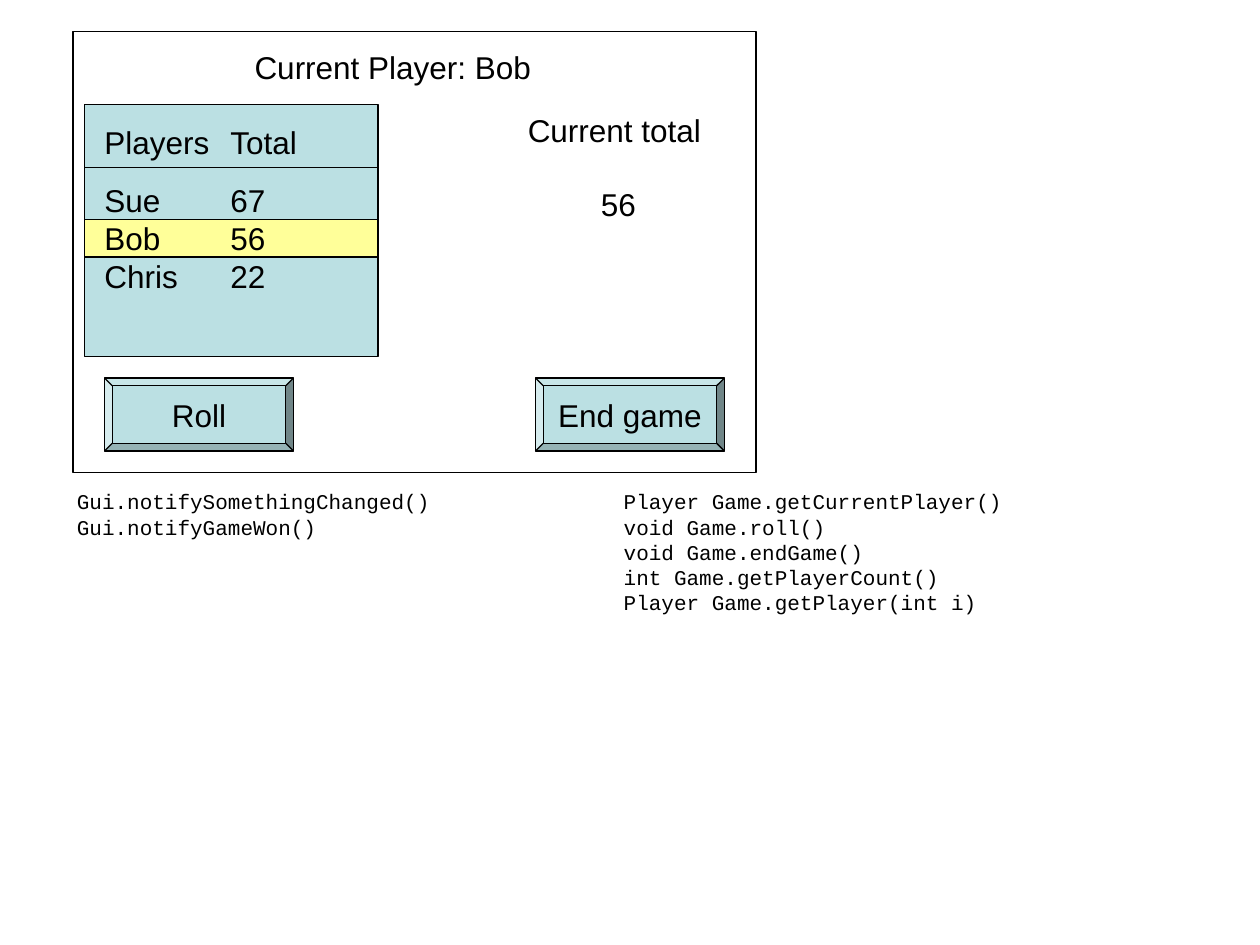
from dataclasses import dataclass

from lxml.etree import SubElement
from pptx import Presentation
from pptx.dml.color import RGBColor
from pptx.enum.shapes import MSO_CONNECTOR, MSO_SHAPE
from pptx.enum.text import MSO_ANCHOR, MSO_AUTO_SIZE, PP_ALIGN
from pptx.oxml.ns import qn
from pptx.util import Inches, Pt


@dataclass(frozen=True)
class Theme:
    ink: RGBColor = RGBColor(0x00, 0x00, 0x00)
    panel: RGBColor = RGBColor(0xBB, 0xE0, 0xE3)
    highlight: RGBColor = RGBColor(0xFF, 0xFF, 0x99)
    label_font: str = "Arial"
    code_font: str = "Courier New"
    label_size: int = 18
    code_size: int = 12
    line_width: float = 0.75


THEME = Theme()
TABLE_LEFT, TABLE_TOP, TABLE_WIDTH, TABLE_HEIGHT = 0.67, 0.83, 2.33, 2
TEXT_LEFT = 0.73
SCORE_TAB = 1


def format_text(frame, font, size, align=PP_ALIGN.LEFT):
    for para in frame.paragraphs:
        para.alignment = align
        para.space_before = Pt(0)
        for span in para.runs:
            span.font.name = font
            span.font.size = Pt(size)
            span.font.color.rgb = THEME.ink


def fill_text(box, text, font=THEME.label_font, size=THEME.label_size):
    frame = box.text_frame
    frame.text = text
    frame.word_wrap = False
    frame.auto_size = MSO_AUTO_SIZE.SHAPE_TO_FIT_TEXT
    frame.vertical_anchor = MSO_ANCHOR.TOP
    format_text(frame, font, size)


def move(box, left, top, width, height):
    box.left, box.top = Inches(left), Inches(top)
    box.width, box.height = Inches(width), Inches(height)


def add_label(page, text, left, top, width, height=0.4):
    box = page.shapes.add_textbox(*map(Inches, (left, top, width, height)))
    fill_text(box, text)
    return box


def add_score_text(page, rows, top, width, height):
    text = "\n".join("\t".join(row) for row in rows)
    box = add_label(page, text, TEXT_LEFT, top, width, height)
    for para in box.text_frame.paragraphs:
        tabs = SubElement(para._p.get_or_add_pPr(), qn("a:tabLst"))
        SubElement(tabs, qn("a:tab"), pos=str(Inches(SCORE_TAB)), algn="l")


def set_code_list(box, calls, left, top, width, height):
    move(box, left, top, width, height)
    fill_text(box, "\n".join(calls), THEME.code_font, THEME.code_size)
    for para in box.text_frame.paragraphs:
        properties = para._p.get_or_add_pPr()
        properties.set("marL", "0")
        properties.set("indent", "0")
        SubElement(properties, qn("a:buNone"))


def add_panel(page, left, top, width, height, fill=None, kind=MSO_SHAPE.RECTANGLE):
    panel = page.shapes.add_shape(kind, *map(Inches, (left, top, width, height)))
    panel.shadow.inherit = False
    if fill is None:
        panel.fill.background()
    else:
        panel.fill.solid()
        panel.fill.fore_color.rgb = fill
    panel.line.color.rgb = THEME.ink
    panel.line.width = Pt(THEME.line_width)
    return panel


def add_button(page, text, left):
    button = add_panel(page, left, 3, 1.5, 0.58, THEME.panel, MSO_SHAPE.BEVEL)
    button.adjustments[0] = 0.107
    frame = button.text_frame
    frame.text = text
    frame.word_wrap = False
    frame.vertical_anchor = MSO_ANCHOR.MIDDLE
    format_text(frame, THEME.label_font, THEME.label_size, PP_ALIGN.CENTER)


def add_rule(page, left, top, width):
    ends = map(Inches, (left, top, left + width, top))
    rule = page.shapes.add_connector(MSO_CONNECTOR.STRAIGHT, *ends)
    rule.line.color.rgb = THEME.ink
    rule.line.width = Pt(THEME.line_width)
    SubElement(rule._element.spPr, qn("a:effectLst"))


def add_score_table(page):
    add_panel(page, TABLE_LEFT, TABLE_TOP, TABLE_WIDTH, TABLE_HEIGHT, THEME.panel)
    add_rule(page, TABLE_LEFT, 1.33, TABLE_WIDTH)
    add_panel(page, TABLE_LEFT, 1.74, TABLE_WIDTH, 0.3, THEME.highlight)
    add_score_text(page, [("Players", "Total")], 0.93, 1.8, 0.4)
    scores = [("Sue", "67"), ("Bob", "56"), ("Chris", "22")]
    add_score_text(page, scores, 1.39, 1.5, 1.3)


def main():
    deck = Presentation()
    deck.slide_width, deck.slide_height = Inches(10), Inches(7.5)
    page = deck.slides.add_slide(deck.slide_layouts.get_by_name("Two Content"))
    title, gui_calls, game_calls = list(page.placeholders)[:3]

    move(title, 1.92, 0.33, 2.45, 0.4)
    fill_text(title, "Current Player: Bob")
    set_code_list(
        gui_calls,
        ["Gui.notifySomethingChanged()", "Gui.notifyGameWon()"],
        0.51, 3.83, 3.05, 0.5,
    )
    set_code_list(
        game_calls,
        [
            "Player Game.getCurrentPlayer()",
            "void Game.roll()",
            "void Game.endGame()",
            "int Game.getPlayerCount()",
            "Player Game.getPlayer(int i)",
        ],
        4.85, 3.83, 3.25, 1.1,
    )

    add_panel(page, 0.58, 0.25, 5.42, 3.5)
    add_score_table(page)
    add_label(page, "Current total", 4.09, 0.83, 1.62)
    add_label(page, "56", 4.67, 1.42, 0.5)
    add_button(page, "Roll", 0.83)
    add_button(page, "End game", 4.25)

    deck.save("out.pptx")


if __name__ == "__main__":
    main()
